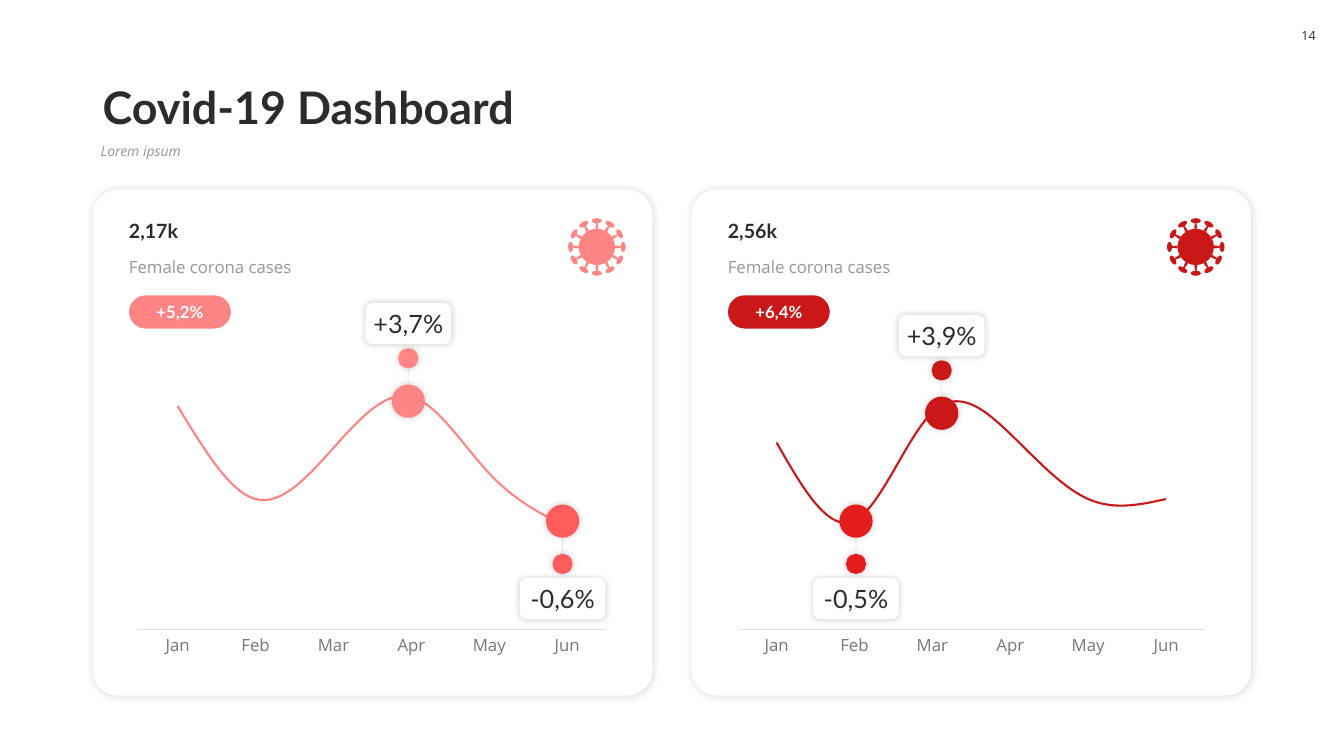
import math
from dataclasses import dataclass

from lxml import etree
from pptx import Presentation, util as u
from pptx.chart import data as chart_data
from pptx.dml import color
from pptx.enum import chart as charts, shapes, text
from pptx.oxml import ns, parse_xml


@dataclass(frozen=True)
class Theme:
    heading: str = "Lato"
    body: str = "Open Sans"
    dark: str = "2C2C2C"
    grey: str = "969696"
    axis_text: str = "767676"
    axis_line: str = "DFDFDF"
    white: str = "FFFFFF"
    pink: str = "FF8585"
    coral: str = "FF5C5C"
    crimson: str = "CA1818"
    scarlet: str = "E41C1C"
    title_size: int = 32
    callout_size: int = 18
    figure_size: int = 14
    label_size: int = 12
    subtitle_size: int = 10
    number_size: int = 9


THEME = Theme()
SHAPE = shapes.MSO_SHAPE
MONTHS = ["Jan", "Feb", "Mar", "Apr", "May", "Jun"]


def rgb(value):
    return color.RGBColor.from_string(value)


def write_text(box, wording, size, font=THEME.body, fill=THEME.dark, bold=False,
               italic=False, align=text.PP_ALIGN.LEFT, anchor=text.MSO_ANCHOR.TOP,
               insets=(0.1, 0.05), spacing=None, wrap=True):
    frame = box.text_frame
    frame.word_wrap = wrap
    frame.vertical_anchor = anchor
    frame.margin_left = frame.margin_right = u.Inches(insets[0])
    frame.margin_top = frame.margin_bottom = u.Inches(insets[1])
    para = frame.paragraphs[0]
    para.alignment = align
    para.line_spacing = spacing
    span = para.add_run()
    span.text = wording
    span.font.name = font
    span.font.size = u.Pt(size)
    span.font.bold = bold
    span.font.italic = italic
    span.font.color.rgb = rgb(fill)


def add_label(page, left, top, width, height, wording, size, **style):
    box = page.shapes.add_textbox(*map(u.Inches, (left, top, width, height)))
    write_text(box, wording, size, **style)


def add_centred(box, wording, size, **style):
    write_text(box, wording, size, align=text.PP_ALIGN.CENTER,
               anchor=text.MSO_ANCHOR.MIDDLE, **style)


def add_shadow(shape, alpha=20, blur=5, distance=0):
    effects = shape._element.spPr.find(ns.qn("a:effectLst"))
    shadow = etree.SubElement(effects, ns.qn("a:outerShdw"), blurRad=str(u.Pt(blur)),
                              dist=str(u.Pt(distance)), dir="2700000", algn="ctr", rotWithShape="0")
    tint = etree.SubElement(shadow, ns.qn("a:srgbClr"), val="000000")
    etree.SubElement(tint, ns.qn("a:alpha"), val=str(alpha * 1000))


def add_solid(parent, kind, left, top, width, height, fill, adjust=None, rotation=0):
    shape = parent.shapes.add_shape(kind, *map(u.Inches, (left, top, width, height)))
    shape.shadow.inherit = False
    shape.fill.solid()
    shape.fill.fore_color.rgb = rgb(fill)
    shape.line.fill.background()
    shape.rotation = rotation
    if adjust is not None:
        shape.adjustments[0] = adjust
    return shape


def add_centred_solid(parent, kind, x, y, width, height, fill, **style):
    return add_solid(parent, kind, x - width / 2, y - height / 2, width, height, fill, **style)


def add_stem(page, x, start, end):
    stem = page.shapes.add_connector(shapes.MSO_CONNECTOR.STRAIGHT,
                                     *map(u.Inches, (x, start, x, end)))
    stem.line.width = u.Pt(0.5)
    stem.line.color.rgb = rgb(THEME.dark)
    properties = stem._element.spPr
    tint = properties.find(".//" + ns.qn("a:srgbClr"))
    etree.SubElement(tint, ns.qn("a:alpha"), val="10000")
    etree.SubElement(properties, ns.qn("a:effectLst"))


def add_callout(page, x, y, direction, wording, fill):
    add_shadow(add_centred_solid(page, SHAPE.OVAL, x, y, 0.33, 0.33, fill))
    add_stem(page, x, y + direction * 0.165, y + direction * 0.325)
    add_shadow(add_centred_solid(page, SHAPE.OVAL, x, y + direction * 0.425, 0.2, 0.2, fill))
    bubble = add_centred_solid(page, SHAPE.ROUNDED_RECTANGLE, x, y + direction * 0.77,
                               0.85, 0.41, THEME.white)
    add_shadow(bubble)
    add_centred(bubble, wording, THEME.callout_size, font=THEME.heading, insets=(0.04, 0.05))


def add_virus(page, x, y, fill):
    virus = page.shapes.add_group_shape()
    add_centred_solid(virus, SHAPE.OVAL, x, y, 0.36, 0.36, fill)
    for angle in range(0, 360, 30):
        across, up = math.sin(math.radians(angle)), math.cos(math.radians(angle))
        add_centred_solid(virus, SHAPE.TRAPEZOID, x + 0.21 * across, y - 0.21 * up,
                          0.03, 0.06, fill, adjust=0.27, rotation=angle)
        add_centred_solid(virus, SHAPE.OVAL, x + 0.26 * across, y - 0.26 * up,
                          0.1, 0.05, fill, rotation=angle)


def set_font(font, fill):
    font.name = THEME.body
    font.size = u.Pt(THEME.label_size)
    font.color.rgb = rgb(fill)


def set_plot_area(chart, **fractions):
    area = chart._chartSpace.chart.plotArea
    for layout in area.findall(ns.qn("c:layout")):
        area.remove(layout)
    places = "".join(f'<c:{key} val="{value}"/>' for key, value in fractions.items())
    area.insert(0, parse_xml(
        f'<c:layout {ns.nsdecls("c")}><c:manualLayout><c:layoutTarget val="inner"/>'
        f'<c:xMode val="edge"/><c:yMode val="edge"/>{places}</c:manualLayout></c:layout>'))


def add_trend(page, left, values, top_value, fill):
    source = chart_data.CategoryChartData()
    source.categories = MONTHS
    source.add_series("Series 1", values)
    chart = page.shapes.add_chart(charts.XL_CHART_TYPE.LINE,
                                  *map(u.Inches, (left, 3.6, 4.83, 2.97)), source).chart
    chart.has_legend = False
    chart.has_title = False
    set_font(chart.font, THEME.dark)
    chart.plots[0].vary_by_categories = False
    series = chart.plots[0].series[0]
    series.smooth = True
    series.marker.style = charts.XL_MARKER_STYLE.NONE
    series.format.line.color.rgb = rgb(fill)
    series.format.line.width = u.Pt(1.5)
    months = chart.category_axis
    months.major_tick_mark = charts.XL_TICK_MARK.NONE
    months.format.line.color.rgb = rgb(THEME.axis_line)
    months.format.line.width = u.Pt(0.75)
    set_font(months.tick_labels.font, THEME.axis_text)
    scale = chart.value_axis
    scale.visible = False
    scale.has_major_gridlines = False
    scale.minimum_scale, scale.maximum_scale = 0, top_value
    set_plot_area(chart, x=0.02, y=0.02, w=0.96, h=0.87)


def add_panel(page, left, total, change, values, top_value, fill, callouts):
    card = add_solid(page, SHAPE.ROUNDED_RECTANGLE, left, 1.88, 5.55, 5.02, THEME.white, adjust=0.05)
    add_shadow(card, alpha=15, blur=6, distance=1)
    add_label(page, left + 0.26, 2.11, 5.01, 0.34, total, THEME.figure_size,
              font=THEME.heading, bold=True, anchor=text.MSO_ANCHOR.BOTTOM)
    add_label(page, left + 0.26, 2.5, 5.01, 0.3, "Female corona cases", THEME.label_size,
              fill=THEME.grey)
    pill = add_solid(page, SHAPE.ROUNDED_RECTANGLE, left + 0.36, 2.93, 1.01, 0.33, fill, adjust=0.5)
    add_centred(pill, change, THEME.label_size, font=THEME.heading, fill=THEME.white,
                bold=True, insets=(0, 0))
    add_trend(page, left + 0.36, values, top_value, fill)
    for callout in callouts:
        add_callout(page, *callout)
    add_virus(page, left + 5, 2.45, fill)


def main():
    deck = Presentation()
    deck.slide_width, deck.slide_height = u.Inches(13.33), u.Inches(7.5)
    page = deck.slides.add_slide(deck.slide_layouts[6])
    add_label(page, 0.92, 0.58, 11.5, 0.8, "Covid-19 Dashboard", THEME.title_size,
              font=THEME.heading, bold=True, anchor=text.MSO_ANCHOR.BOTTOM, spacing=0.9)
    add_label(page, 0.9, 1.38, 11.52, 0.36, "Lorem ipsum", THEME.subtitle_size,
              fill=THEME.grey, italic=True, spacing=0.9)
    number = add_solid(page, SHAPE.ROUNDED_RECTANGLE, 12.8, 0.18, 0.36, 0.35, THEME.white, adjust=0.27)
    add_centred(number, "14", THEME.number_size, insets=(0, 0.05), wrap=False)
    add_panel(page, 0.92, "2,17k", "+5,2%", [96, 56, 78, 100, 67, 44], 112, THEME.pink,
              [(4.05, 3.98, -1, "+3,7%", THEME.pink), (5.58, 5.17, 1, "-0,6%", THEME.coral)])
    add_panel(page, 6.86, "2,56k", "+6,4%", [86, 50, 100, 90, 60, 60], 120, THEME.crimson,
              [(9.34, 4.1, -1, "+3,9%", THEME.crimson), (8.49, 5.17, 1, "-0,5%", THEME.scarlet)])
    deck.save("out.pptx")


if __name__ == "__main__":
    main()
